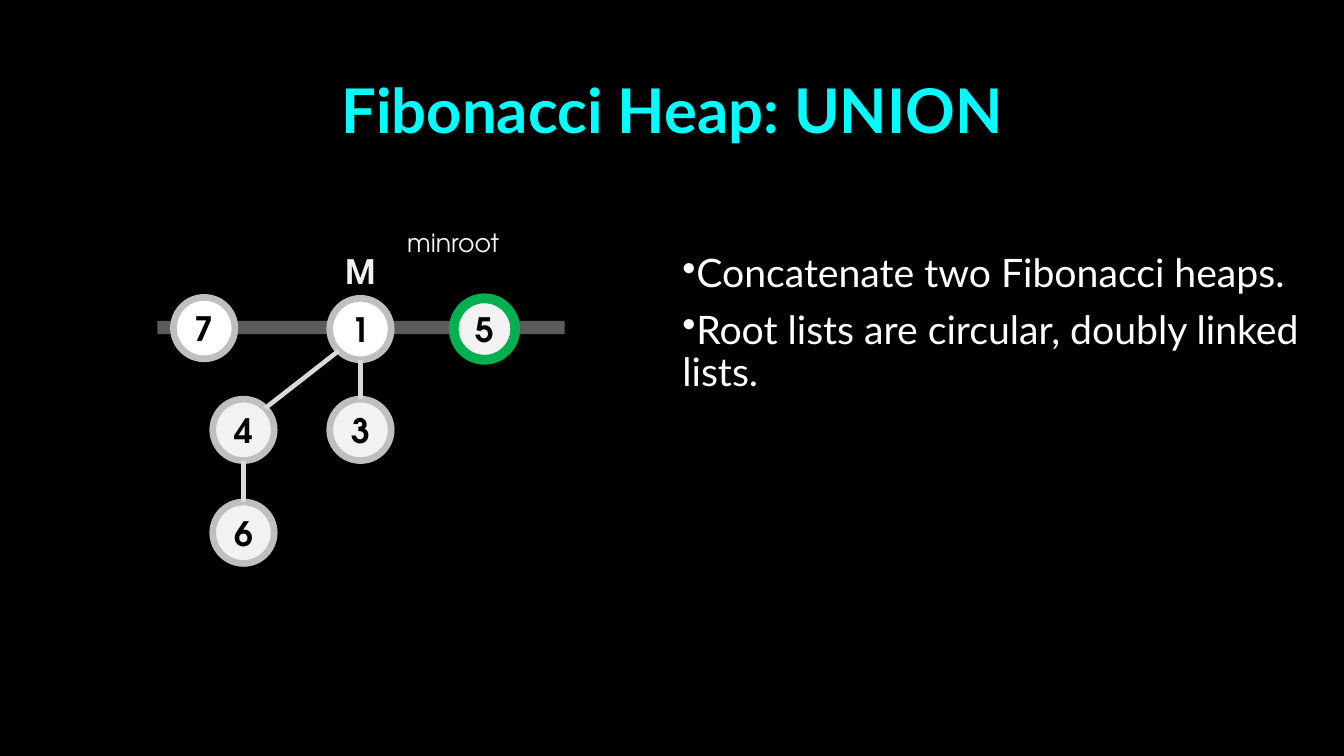
from math import sqrt

from lxml import etree
from pptx import Presentation
from pptx.dml.color import RGBColor
from pptx.enum.shapes import MSO_CONNECTOR, MSO_SHAPE
from pptx.enum.text import MSO_ANCHOR, MSO_AUTO_SIZE, PP_ALIGN
from pptx.oxml.ns import qn
from pptx.util import Inches, Pt

STRAIGHT = MSO_CONNECTOR.STRAIGHT
ELLIPSE = MSO_SHAPE.OVAL
MIDDLE = MSO_ANCHOR.MIDDLE
CENTER = PP_ALIGN.CENTER
FIT_SHAPE = MSO_AUTO_SIZE.SHAPE_TO_FIT_TEXT

BLACK = RGBColor(0x00, 0x00, 0x00)
WHITE = RGBColor(0xFF, 0xFF, 0xFF)
CYAN = RGBColor(0x00, 0xFD, 0xFF)
GREEN = RGBColor(0x00, 0xB0, 0x50)
PALE = RGBColor(0xF2, 0xF2, 0xF2)
EDGE_GRAY = RGBColor(0xD9, 0xD9, 0xD9)
RING_GRAY = RGBColor(0xBF, 0xBF, 0xBF)

TEXT_FONT = "Lato"
HEAP_FONT = "TeX Gyre Adventor"

TITLE = "Fibonacci Heap: UNION"
POINTS = [
    "Concatenate two Fibonacci heaps.",
    "Root lists are circular, doubly linked lists.",
]
# key: (left, top, fill, ring colour, ring width)
NODES = {
    "7": (1.72, 2.95, WHITE, RING_GRAY, 4.75),
    "1": (3.27, 2.96, WHITE, RING_GRAY, 4.75),
    "5": (4.5, 2.96, PALE, GREEN, 7),
    "4": (2.11, 3.96, PALE, RING_GRAY, 4.75),
    "3": (3.27, 3.96, PALE, RING_GRAY, 4.75),
    "6": (2.11, 4.98, PALE, RING_GRAY, 4.75),
}
EDGES = [("1", "4"), ("1", "3"), ("4", "6")]
# text, (left, top, width, height), size, bold
LABELS = [
    ("M", (3.33, 2.44, 0.51, 0.5), 24, True),
    ("minroot", (3.94, 2.21, 1.13, 0.4), 18, False),
]
NODE_SIZE = 0.61
RADIUS = NODE_SIZE / 2


def style(paragraph, font, size, color, bold=False):
    for span in paragraph.runs:
        span.font.name = font
        span.font.size = Pt(size)
        span.font.color.rgb = color
        span.font.bold = bold


def add_box(page, place):
    return page.shapes.add_textbox(*map(Inches, place)).text_frame


def add_line(page, start, end, color, width):
    line = page.shapes.add_connector(STRAIGHT, *map(Inches, start + end))
    line.line.color.rgb = color
    line.line.width = Pt(width)
    etree.SubElement(line._element.spPr, qn("a:effectLst"))
    return line


def add_root_list(page):
    """Draw the translucent bar that joins the roots."""
    bar = add_line(page, (1.56, 3.25), (5.6, 3.25), RING_GRAY, 9.5)
    color = bar._element.spPr.find(".//" + qn("a:srgbClr"))
    etree.SubElement(color, qn("a:alpha")).set("val", "47000")


def add_node(page, key):
    left, top, fill, ring, width = NODES[key]
    node = page.shapes.add_shape(
        ELLIPSE, Inches(left), Inches(top), Inches(NODE_SIZE), Inches(NODE_SIZE))
    node.shadow.inherit = False
    node.fill.solid()
    node.fill.fore_color.rgb = fill
    node.line.color.rgb = ring
    node.line.width = Pt(width)
    frame = node.text_frame
    frame.margin_left = frame.margin_right = 0
    frame.margin_top = frame.margin_bottom = 0
    frame.word_wrap = False
    frame.vertical_anchor = MIDDLE
    frame.text = key
    frame.paragraphs[0].alignment = CENTER
    style(frame.paragraphs[0], HEAP_FONT, 24, BLACK, True)


def add_edge(page, parent, child):
    """Join rims straight down, or at 45 degrees when the columns differ."""
    x1, y1 = (value + RADIUS for value in NODES[parent][:2])
    x2, y2 = (value + RADIUS for value in NODES[child][:2])
    side = (x2 > x1) - (x2 < x1)
    reach = RADIUS / sqrt(2) if side else RADIUS
    add_line(page, (x1 + side * reach, y1 + reach),
             (x2 - side * reach, y2 - reach), EDGE_GRAY, 3.25)


def add_title(page):
    frame = add_box(page, (0.92, 0.4, 11.5, 1.45))
    frame.word_wrap = True
    frame.vertical_anchor = MIDDLE
    frame.text = TITLE
    heading = frame.paragraphs[0]
    heading.alignment = CENTER
    heading.line_spacing = 0.9
    style(heading, TEXT_FONT, 44, CYAN, True)


def add_label(page, text, place, size, bold):
    frame = add_box(page, place)
    frame.word_wrap = False
    frame.auto_size = FIT_SHAPE
    frame.text = text
    style(frame.paragraphs[0], HEAP_FONT, size, PALE, bold)


def add_points(page):
    frame = add_box(page, (6.67, 2.47, 6.46, 3.25))
    frame.word_wrap = True
    frame.text = "\n".join(POINTS)
    for index, para in enumerate(frame.paragraphs):
        para.line_spacing = 0.9
        if index:
            para.space_before = Pt(10)
        properties = para._p.get_or_add_pPr()
        properties.set("marL", "0")
        properties.set("indent", "0")
        etree.SubElement(properties, qn("a:buChar")).set("char", "•")
        style(para, TEXT_FONT, 28, WHITE)


def main():
    deck = Presentation()
    deck.slide_width = Inches(13.33)
    deck.slide_height = Inches(7.5)
    page = deck.slides.add_slide(deck.slide_layouts[6])
    page.background.fill.solid()
    page.background.fill.fore_color.rgb = BLACK

    add_root_list(page)
    add_title(page)
    for key in NODES:
        add_node(page, key)
    for parent, child in EDGES:
        add_edge(page, parent, child)
    for label in LABELS:
        add_label(page, *label)
    add_points(page)
    deck.save("out.pptx")


if __name__ == "__main__":
    main()
